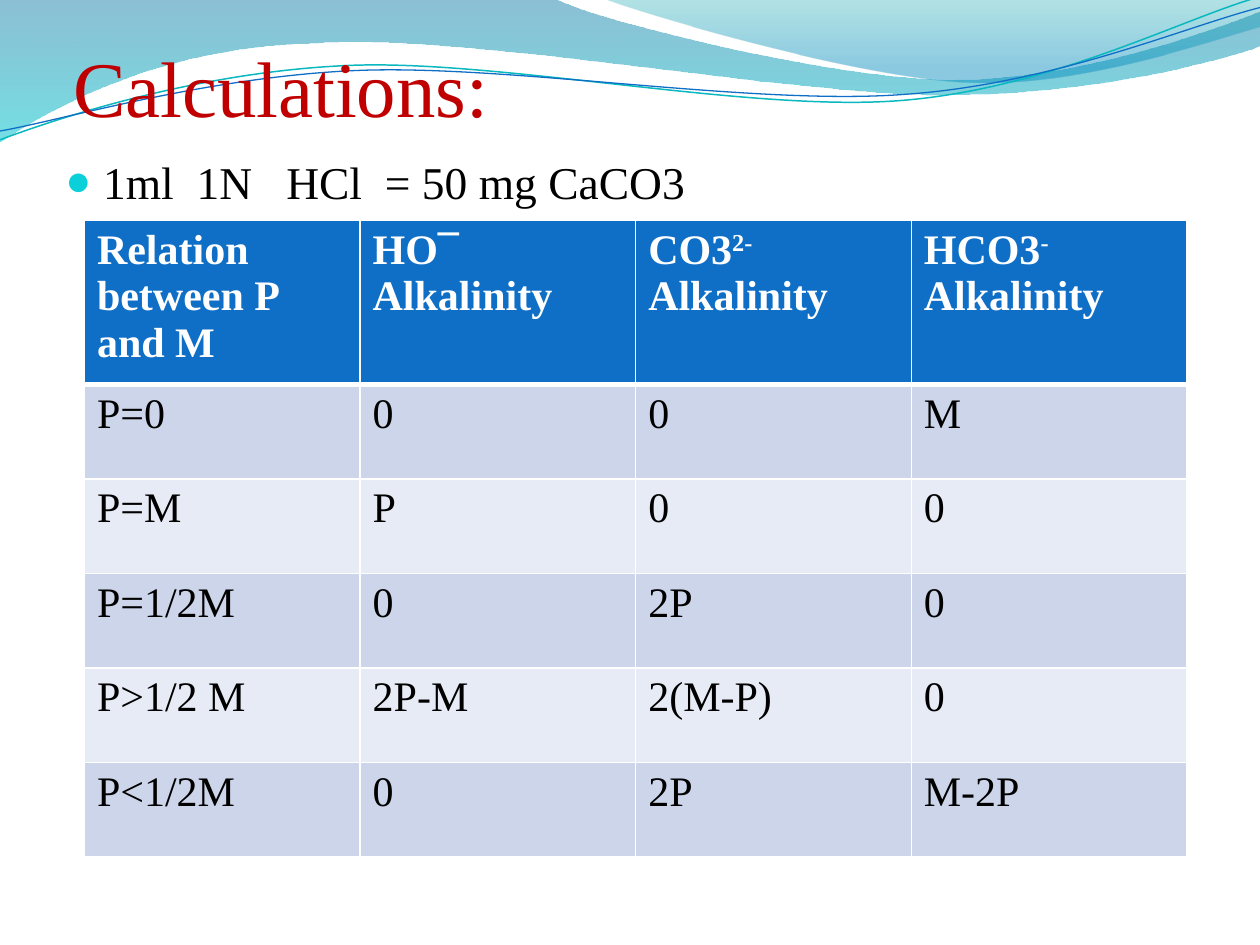
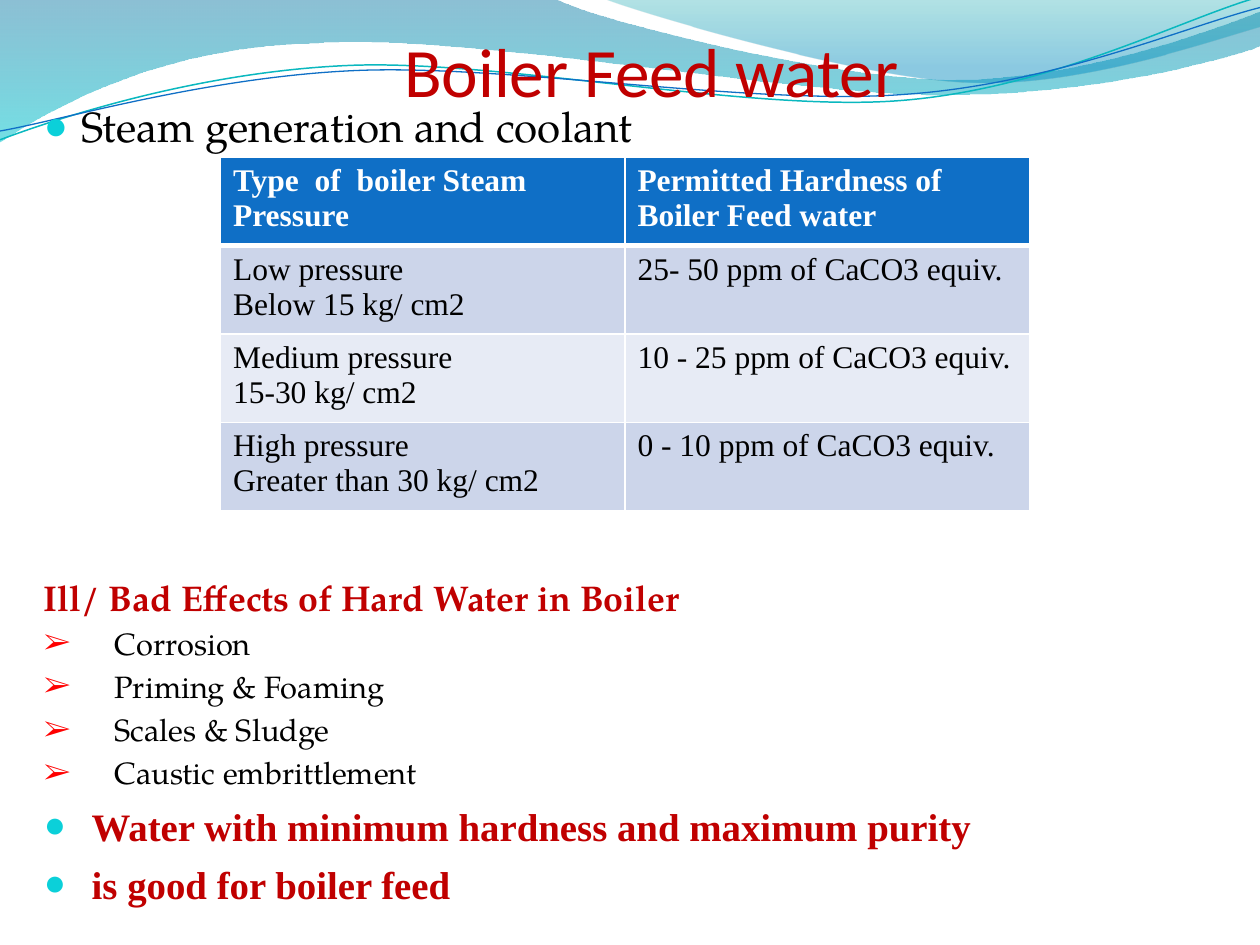
"""Build two slides on water alkalinity and boiler feed water."""
from dataclasses import dataclass

import pptx
import pptx.dml.color
import pptx.enum.text
import pptx.oxml.ns
import pptx.util
from lxml import etree

Inches, Pt = pptx.util.Inches, pptx.util.Pt
qn = pptx.oxml.ns.qn
ALIGN, ANCHOR = pptx.enum.text.PP_ALIGN, pptx.enum.text.MSO_ANCHOR


@dataclass(frozen=True)
class Theme:
    """Hold the colours, fonts and type sizes of the deck."""

    red: str = "C00000"
    black: str = "000000"
    white: str = "FFFFFF"
    blue: str = "0F6FC6"
    teal: str = "0AB8BF"
    dot: str = "0BD0D9"
    arrow: str = "FF0000"
    bands: tuple = ("E7EBF5", "CCD5EA")
    serif: str = "Times New Roman"
    book: str = "TeX Gyre Pagella"
    sans: str = "Calibri"
    title: float = 45
    sub: float = 39.6
    lead: float = 26
    body: float = 24.1
    grid: float = 24
    close: float = 22.2
    head: float = 20.4
    small: float = 18
    item: float = 17.6


T = Theme()

WAVES = [
    ([(0, 0), (4.4, -0.01), (4.76, 0.17, 6.64, 0.63, 7.58, 0.63),
      (8.53, 0.63, 9.58, 0.26, 10, 0.09), (10.01, 0.36),
      (9.83, 0.44, 8.7, 0.76, 7.46, 0.75), (6.22, 0.75, 3.82, 0.28, 2.57, 0.34),
      (1.29, 0.36, 0.46, 0.83, -0.01, 1.13)],
     [(0, "0074A1", 45), (1, "00C6CF", 55)]),
    ([(4.79, -0.01), (5.09, 0.11, 6.82, 0.62, 7.69, 0.65),
      (8.56, 0.69, 9.61, 0.32, 10, 0.21), (10, 0)],
     [(0, "00A1A9", 30), (0.8, "008BBF", 45)]),
]
CURVES = [
    ([(0, 1.11), (0.48, 0.93, 1.58, 0.57, 2.77, 0.52),
      (3.95, 0.47, 5.93, 0.89, 7.13, 0.8), (8.33, 0.71, 9.38, 0.15, 9.98, -0.02)],
     T.teal, 0.85),
    ([(0, 1.04), (0.47, 0.96, 1.64, 0.61, 2.83, 0.56),
      (4.03, 0.51, 5.97, 0.84, 7.17, 0.75), (8.36, 0.67, 9.41, 0.21, 10, 0.06)],
     T.blue, 0.75),
]
RATIOS = [
    ["Relation between P and M", "HO¯ Alkalinity", "CO3^2-^ Alkalinity",
     "HCO3^-^ Alkalinity"],
    ["P=0", "0", "0", "M"],
    ["P=M", "P", "0", "0"],
    ["P=1/2M", "0", "2P", "0"],
    ["P>1/2 M", "2P-M", "2(M-P)", "0"],
    ["P<1/2M", "0", "2P", "M-2P"],
]
LIMITS = [
    ["Type  of  boiler Steam Pressure", "Permitted Hardness of Boiler Feed water"],
    ["Low pressure\nBelow 15 kg/ cm2", "25- 50 ppm of CaCO3 equiv."],
    ["Medium pressure\n15-30 kg/ cm2", "10 - 25 ppm of CaCO3 equiv."],
    ["High pressure\nGreater than 30 kg/ cm2", "0 - 10 ppm of CaCO3 equiv."],
]
HARMS = "Corrosion\nPriming & Foaming\nScales & Sludge\nCaustic embrittlement"
ADVICE = "Water with minimum hardness and maximum purity\nis good for boiler feed"


def rgb(code):
    """Turn a hex code into a colour."""
    return pptx.dml.color.RGBColor.from_string(code)


def node(parent, tag, **attrs):
    """Append a drawing element to a parent."""
    child = etree.SubElement(parent, qn(tag))
    for key, value in attrs.items():
        child.set(key, str(value))
    return child


def mark(para, sign, color, indent):
    """Give a paragraph a hanging bullet."""
    props = para._p.get_or_add_pPr()
    props.set("marL", str(Inches(indent)))
    props.set("indent", str(-Inches(indent)))
    node(node(props, "a:buClr"), "a:srgbClr", val=color)
    node(props, "a:buSzPct", val=95000)
    node(props, "a:buFont", typeface=T.serif)
    node(props, "a:buChar", char=sign)


def write(frame, text, size, color=T.black, font=T.serif, bold=False,
          align=ALIGN.LEFT, gap=0, bullet=None):
    """Add a paragraph per line, raising the parts between carets."""
    for line in text.split("\n"):
        first = not frame.text
        para = frame.paragraphs[0] if first else frame.add_paragraph()
        if bullet:
            mark(para, *bullet)
        para.alignment = align
        if not first:
            para.space_before = Pt(gap)
        for place, part in enumerate(line.split("^")):
            run = para.add_run()
            run.text = part
            run.font.size, run.font.name = Pt(size), font
            run.font.bold, run.font.color.rgb = bold, rgb(color)
            if place % 2:
                run._r.get_or_add_rPr().set("baseline", "30000")


def bend(shape, steps):
    """Turn the segments that have control points into Bezier curves."""
    lines = list(shape.element.iter(qn("a:lnTo")))
    for line, step in zip(lines, steps[1:]):
        if len(step) == 6:
            arc = etree.Element(qn("a:cubicBezTo"))
            for x, y in zip(step[::2], step[1::2]):
                node(arc, "a:pt", x=Inches(x) - shape.left, y=Inches(y) - shape.top)
            line.addprevious(arc)
            line.getparent().remove(line)


def outline(slide, steps, closed):
    """Draw a plain freeform along the steps."""
    points = [tuple(map(Inches, step[-2:])) for step in steps]
    pen = slide.shapes.build_freeform(*points[0])
    pen.add_line_segments(points[1:], close=closed)
    shape = pen.convert_to_shape()
    bend(shape, steps)
    shape.shadow.inherit = False
    return shape


def wave(slide, steps, stops):
    """Draw a wave with a see-through gradient running down."""
    shape = outline(slide, steps, True)
    shape.line.fill.background()
    shape.fill.gradient()
    shape.fill.gradient_angle = 270
    for stop, (place, color, _) in zip(shape.fill.gradient_stops, stops):
        stop.position, stop.color.rgb = place, rgb(color)
    for tint, stop in zip(shape.element.iter(qn("a:srgbClr")), stops):
        node(tint, "a:alpha", val=stop[2] * 1000)
    return shape


def curve(slide, steps, color, width):
    """Draw a thin open curve."""
    shape = outline(slide, steps, False)
    shape.fill.background()
    shape.line.color.rgb, shape.line.width = rgb(color), Pt(width)
    return shape


def adorn(layout, slide):
    """Draw the header waves and move them to the shared layout."""
    for holder in list(layout.placeholders):
        if holder.placeholder_format.idx:
            layout.shapes.element.remove(holder.element)
    shapes = [wave(slide, *data) for data in WAVES]
    shapes += [curve(slide, *data) for data in CURVES]
    for shape in shapes:
        layout.shapes.element.append(shape.element)


def place(shape, box):
    """Set the place and size of a shape in inches."""
    shape.left, shape.top, shape.width, shape.height = map(Inches, box)


def title(slide, text, box, anchor, **form):
    """Fill and move the title of a slide."""
    shape = slide.shapes.title
    place(shape, box)
    frame = shape.text_frame
    frame.word_wrap, frame.vertical_anchor = True, anchor
    frame.auto_size = pptx.enum.text.MSO_AUTO_SIZE.NONE
    frame.margin_left = frame.margin_right = frame.margin_bottom = 0
    frame.margin_top = Inches(0.05)
    write(frame, text, color=T.red, **form)


def panel(slide, box):
    """Add a wrapping text box and return its frame."""
    frame = slide.shapes.add_textbox(*map(Inches, box)).text_frame
    frame.word_wrap = True
    return frame


def edge(cell, side, width):
    """Draw one white border of a cell."""
    line = node(cell._tc.get_or_add_tcPr(), "a:ln" + side, w=Pt(width))
    node(node(line, "a:solidFill"), "a:srgbClr", val=T.white)


def table(slide, rows, box, height, size):
    """Add a banded table with a bold header row."""
    frame = slide.shapes.add_table(len(rows), len(rows[0]), *map(Inches, box))
    grid = frame.table
    for r, row in enumerate(rows):
        head = r == 0
        grid.rows[r].height = Inches(height)
        for c, text in enumerate(row):
            cell = grid.cell(r, c)
            for side in "LRTB":
                thick = (r, side) in ((0, "B"), (1, "T"))
                edge(cell, side, 3 if thick else 1)
            cell.fill.solid()
            cell.fill.fore_color.rgb = rgb(T.blue if head else T.bands[r % 2])
            write(cell.text_frame, text, size, bold=head,
                  color=T.white if head else T.black)
    place(frame, box)


def sums(slide):
    """Fill the slide on alkalinity sums."""
    title(slide, "Calculations:", (0.58, 0.33, 9, 0.73), ANCHOR.BOTTOM, size=T.title)
    write(panel(slide, (0.42, 1.17, 9, 5.33)), "1ml  1N   HCl  = 50 mg CaCO3",
          T.lead, bullet=("●", T.dot, 0.3))
    table(slide, RATIOS, (0.67, 1.75, 8.75, 5.05), 0.75, T.grid)


def boiler(slide):
    """Fill the slide on boiler feed water."""
    title(slide, "Boiler Feed water", (0.67, 0.17, 9, 0.67), ANCHOR.TOP,
          size=T.sub, font=T.sans, align=ALIGN.CENTER)
    write(panel(slide, (0.25, 0.75, 9.33, 0.5)), "Steam generation and coolant",
          T.body, font=T.book, bullet=("●", T.dot, 0.3))
    table(slide, LIMITS, (1.75, 1.25, 6.42, 2.8), 0.57, T.small)
    notes = panel(slide, (0.25, 4.52, 9.33, 2.65))
    write(notes, "Ill/ Bad Effects of Hard Water in Boiler", T.head,
          color=T.red, font=T.book, bold=True)
    write(notes, HARMS, T.item, font=T.book, gap=3.5, bullet=("➢", T.arrow, 0.56))
    write(notes, ADVICE, T.close, color=T.red, bold=True, gap=6.5,
          bullet=("●", T.dot, 0.38))


def main():
    """Build and save the deck."""
    deck = pptx.Presentation()
    deck.slide_width, deck.slide_height = Inches(10), Inches(7.5)
    layout = deck.slide_layouts[5]
    first = deck.slides.add_slide(layout)
    adorn(layout, first)
    sums(first)
    boiler(deck.slides.add_slide(layout))
    deck.save("out.pptx")


if __name__ == "__main__":
    main()
